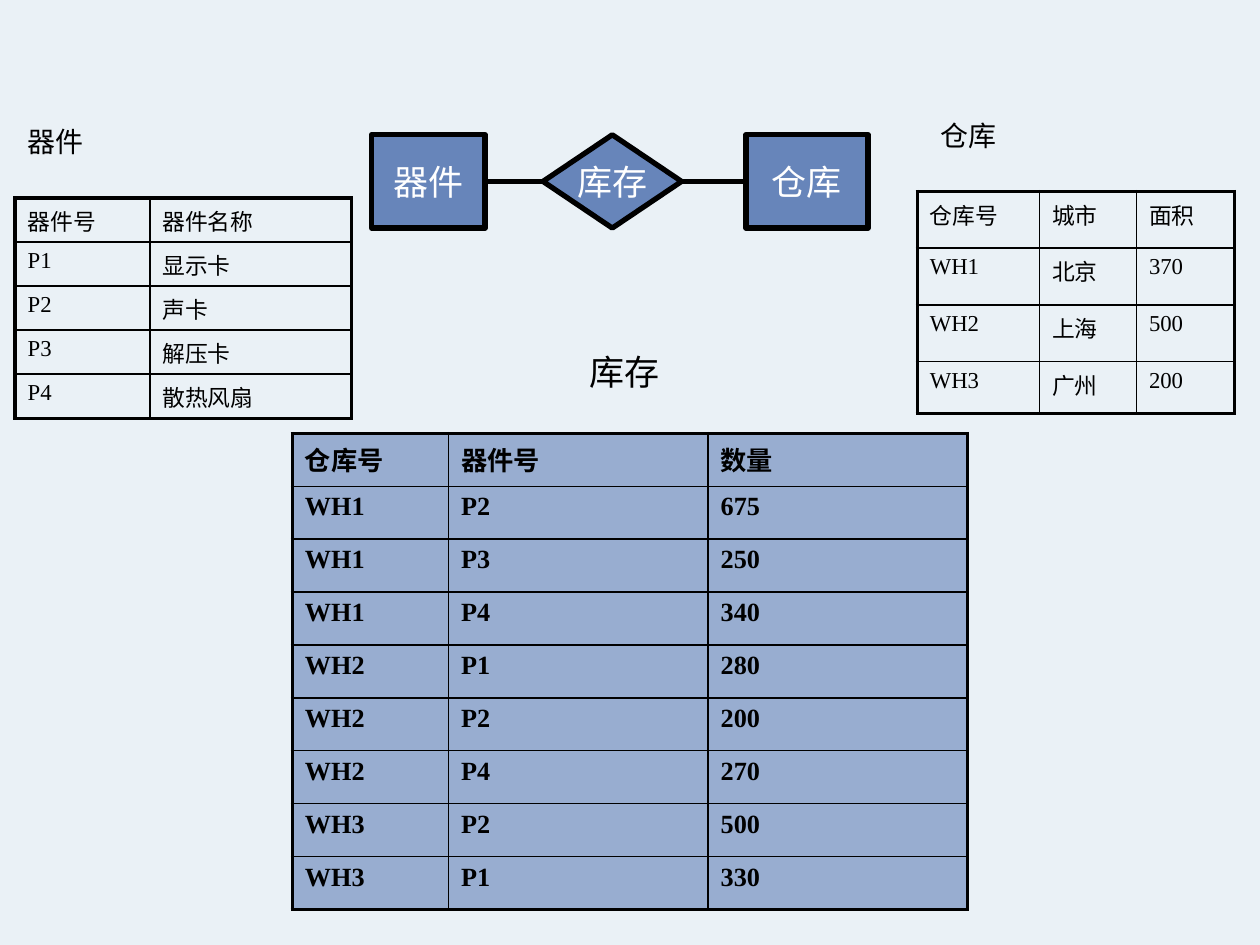
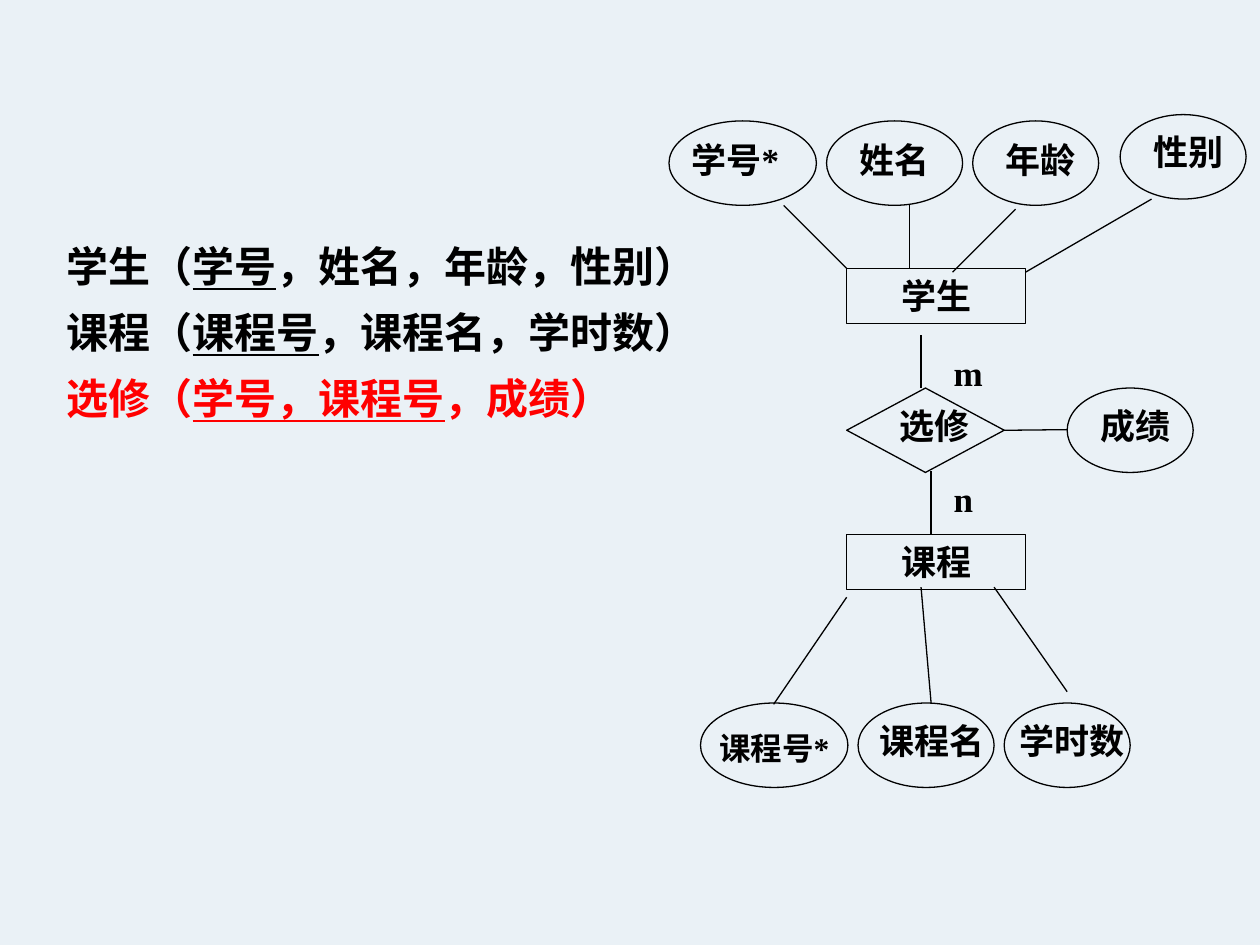
"""Build two slides that turn entity-relationship diagrams into relational tables."""
import pptx
import pptx.dml.color
import pptx.enum.shapes
import pptx.enum.text
import pptx.oxml.ns
import pptx.util
from lxml import etree

Inches = pptx.util.Inches
Pt = pptx.util.Pt
RGBColor = pptx.dml.color.RGBColor
Shape = pptx.enum.shapes.MSO_SHAPE
Align = pptx.enum.text.PP_ALIGN
Anchor = pptx.enum.text.MSO_ANCHOR
AutoSize = pptx.enum.text.MSO_AUTO_SIZE
qn = pptx.oxml.ns.qn

BACKGROUND = RGBColor(0xEA, 0xF1, 0xF6)
BLUE = RGBColor(0x47, 0x6B, 0xAB)
BLACK = RGBColor(0, 0, 0)
WHITE = RGBColor(255, 255, 255)
RED = RGBColor(255, 0, 0)
FONT = "Times New Roman"


def write(para, text, size, color=BLACK, bold=False, underline=False):
    span = para.add_run()
    span.text = text
    span.font.name = FONT
    span.font.size = Pt(size)
    span.font.color.rgb = color
    span.font.bold = bold
    span.font.underline = underline


def draw_line(page, start, end, width):
    line = page.shapes.add_connector(
        pptx.enum.shapes.MSO_CONNECTOR.STRAIGHT, *[Inches(value) for value in start + end])
    line.line.color.rgb = BLACK
    line.line.width = Pt(width)
    etree.SubElement(line.element.spPr, qn("a:effectLst"))
    return line


deck = pptx.Presentation()
deck.slide_width = Inches(10)
deck.slide_height = Inches(7.5)
master_fill = deck.slide_master.background.fill
master_fill.solid()
master_fill.fore_color.rgb = BACKGROUND
blank = deck.slide_layouts[6]
translucent = []

page = deck.slides.add_slide(blank)
nodes = {}
for name, kind, left, width in [
    ("器件", Shape.RECTANGLE, 2.95, 0.9),
    ("仓库", Shape.RECTANGLE, 5.92, 0.97),
    ("库存", Shape.FLOWCHART_DECISION, 4.31, 1.1),
]:
    node = page.shapes.add_shape(kind, Inches(left), Inches(1.07), Inches(width), Inches(0.74))
    node.shadow.inherit = False
    node.fill.solid()
    node.fill.fore_color.rgb = BLUE
    translucent.append((node.element.spPr, 80))
    node.line.color.rgb = BLACK
    node.line.width = Pt(3)
    node.text_frame.word_wrap = False
    node.text_frame.vertical_anchor = Anchor.MIDDLE
    para = node.text_frame.paragraphs[0]
    para.alignment = Align.CENTER
    write(para, name, 20, WHITE)
    nodes[name] = node

for first, second, start, end in [("器件", "库存", 3.86, 4.31), ("库存", "仓库", 5.41, 5.92)]:
    link = draw_line(page, (start, 1.44), (end, 1.44), 3)
    link.begin_connect(nodes[first], 3)
    link.end_connect(nodes[second], 1)

for caption, left, top, width, height, size in [
    ("仓库", 7.36, 0.89, 0.65, 0.37, 16),
    ("器件", 0.12, 0.94, 0.64, 0.37, 16),
    ("库存", 4.45, 2.73, 1.02, 0.44, 20),
]:
    box = page.shapes.add_textbox(Inches(left), Inches(top), Inches(width), Inches(height))
    box.text_frame.word_wrap = True
    box.text_frame.auto_size = AutoSize.SHAPE_TO_FIT_TEXT
    para = box.text_frame.paragraphs[0]
    para.alignment = Align.CENTER
    write(para, caption, size)

warehouses = [
    ("仓库号", "城市", "面积"),
    ("WH1", "北京", "370"),
    ("WH2", "上海", "500"),
    ("WH3", "广州", "200"),
]
parts = [
    ("器件号", "器件名称"),
    ("P1", "显示卡"),
    ("P2", "声卡"),
    ("P3", "解压卡"),
    ("P4", "散热风扇"),
]
stock = [
    ("仓库号", "器件号", "数量"),
    ("WH1", "P2", "675"),
    ("WH1", "P3", "250"),
    ("WH1", "P4", "340"),
    ("WH2", "P1", "280"),
    ("WH2", "P2", "200"),
    ("WH2", "P4", "270"),
    ("WH3", "P2", "500"),
    ("WH3", "P1", "330"),
]
for records, left, top, widths, heights, size, shaded in [
    (warehouses, 7.28, 1.52, [0.97, 0.77, 0.78], [0.45, 0.45, 0.45, 0.41], 13, False),
    (parts, 0.12, 1.57, [1.07, 1.6], [0.35] * 5, 13, False),
    (stock, 2.32, 3.44, [1.24, 2.06, 2.06], [0.42] * 9, 15, True),
]:
    table = page.shapes.add_table(
        len(heights), len(widths), Inches(left), Inches(top),
        Inches(sum(widths)), Inches(sum(heights))).table
    table.first_row = False
    table.horz_banding = False
    for column, width in zip(table.columns, widths):
        column.width = Inches(width)
    for row, height in zip(table.rows, heights):
        row.height = Inches(height)
    last_row, last_column = len(heights) - 1, len(widths) - 1
    for row_index, record in enumerate(records):
        for column_index, value in enumerate(record):
            cell = table.cell(row_index, column_index)
            write(cell.text_frame.paragraphs[0], value, size, bold=shaded)
            properties = cell._tc.get_or_add_tcPr()
            for side, outer in [
                ("L", column_index == 0),
                ("R", column_index == last_column),
                ("T", row_index == 0),
                ("B", row_index == last_row),
            ]:
                border = etree.SubElement(properties, qn("a:ln" + side))
                border.set("w", str(Pt(2.25 if outer else 1)))
                paint = etree.SubElement(border, qn("a:solidFill"))
                etree.SubElement(paint, qn("a:srgbClr")).set("val", str(BLACK))
            if shaded:
                cell.fill.solid()
                cell.fill.fore_color.rgb = BLUE
                translucent.append((properties, 50))
            else:
                cell.fill.background()

for properties, percent in translucent:
    tint = properties.find(qn("a:solidFill")).find(qn("a:srgbClr"))
    etree.SubElement(tint, qn("a:alpha")).set("val", str(percent * 1000))

page = deck.slides.add_slide(blank)
box = page.shapes.add_textbox(Inches(0.43), Inches(1.86), Inches(5.43), Inches(1.72))
box.text_frame.word_wrap = True
box.text_frame.auto_size = AutoSize.SHAPE_TO_FIT_TEXT
for index, (relation, key, others, color) in enumerate([
    ("学生（", "学号", "，姓名，年龄，性别）", BLACK),
    ("课程（", "课程号", "，课程名，学时数）", BLACK),
    ("选修（", "学号，课程号", "，成绩）", RED),
]):
    if index:
        para = box.text_frame.add_paragraph()
        para.space_before = Pt(9)
    else:
        para = box.text_frame.paragraphs[0]
    write(para, relation, 24, color, True)
    write(para, key, 24, color, True, True)
    write(para, others, 24, color, True)

outlines = [
    (Shape.RECTANGLE, 6.72, 2.13, 1.42, 0.44),
    (Shape.RECTANGLE, 6.72, 4.24, 1.42, 0.44),
    (Shape.OVAL, 5.31, 0.96, 1.17, 0.67),
    (Shape.OVAL, 6.56, 0.96, 1.08, 0.67),
    (Shape.OVAL, 7.72, 0.96, 1, 0.67),
    (Shape.OVAL, 8.89, 0.91, 1, 0.67),
    (Shape.OVAL, 5.56, 5.58, 1.17, 0.67),
    (Shape.OVAL, 6.81, 5.58, 1.08, 0.67),
    (Shape.OVAL, 7.97, 5.58, 1, 0.67),
    (Shape.OVAL, 8.47, 3.08, 1, 0.67),
    (Shape.FLOWCHART_DECISION, 6.72, 3.08, 1.25, 0.67),
]
entities = ["学生", "课程"]
for index, (kind, *place) in enumerate(outlines):
    outline = page.shapes.add_shape(kind, *[Inches(value) for value in place])
    outline.shadow.inherit = False
    outline.fill.background()
    outline.line.color.rgb = BLACK
    outline.line.width = Pt(0.75)
    if kind == Shape.RECTANGLE:
        outline.text_frame.vertical_anchor = Anchor.TOP
        para = outline.text_frame.paragraphs[0]
        para.alignment = Align.CENTER
        write(para, entities[index], 20, bold=True)
    elif kind == Shape.FLOWCHART_DECISION:
        enrolment = outline

for label, left, top, width, size, align in [
    ("学号*", 5.39, 1.05, 1.08, 20, Align.LEFT),
    ("姓名", 6.64, 1.05, 0.92, 20, Align.CENTER),
    ("年龄", 7.72, 1.05, 1.08, 20, Align.CENTER),
    ("性别", 8.89, 0.99, 1.08, 20, Align.CENTER),
    ("课程号*", 5.61, 5.74, 1.17, 18, Align.LEFT),
    ("课程名", 6.81, 5.66, 1.17, 20, Align.CENTER),
    ("学时数", 7.97, 5.66, 1.08, 20, Align.CENTER),
    ("选修", 6.89, 3.16, 1.06, 20, Align.CENTER),
    ("成绩", 8.47, 3.16, 1.08, 20, Align.CENTER),
    ("m", 7.47, 2.74, 0.42, 20, Align.LEFT),
    ("n", 7.47, 3.74, 0.42, 20, Align.LEFT),
]:
    box = page.shapes.add_textbox(Inches(left), Inches(top), Inches(width), Inches(size * 0.022))
    box.text_frame.word_wrap = True
    box.text_frame.auto_size = AutoSize.SHAPE_TO_FIT_TEXT
    para = box.text_frame.paragraphs[0]
    para.alignment = align
    write(para, label, size, bold=True)

for start, end in [
    ((6.22, 1.63), (6.72, 2.13)),
    ((7.22, 1.63), (7.22, 2.13)),
    ((8.06, 1.66), (7.56, 2.16)),
    ((9.14, 1.58), (8.14, 2.16)),
    ((7.31, 2.66), (7.31, 3.08)),
    ((7.39, 3.74), (7.39, 4.24)),
    ((6.72, 4.74), (6.14, 5.59)),
    ((7.31, 4.66), (7.39, 5.58)),
    ((7.89, 4.66), (8.47, 5.49)),
]:
    draw_line(page, start, end, 0.75)
draw_line(page, (7.97, 3.41), (8.47, 3.41), 0.75).begin_connect(enrolment, 3)

deck.save("out.pptx")
